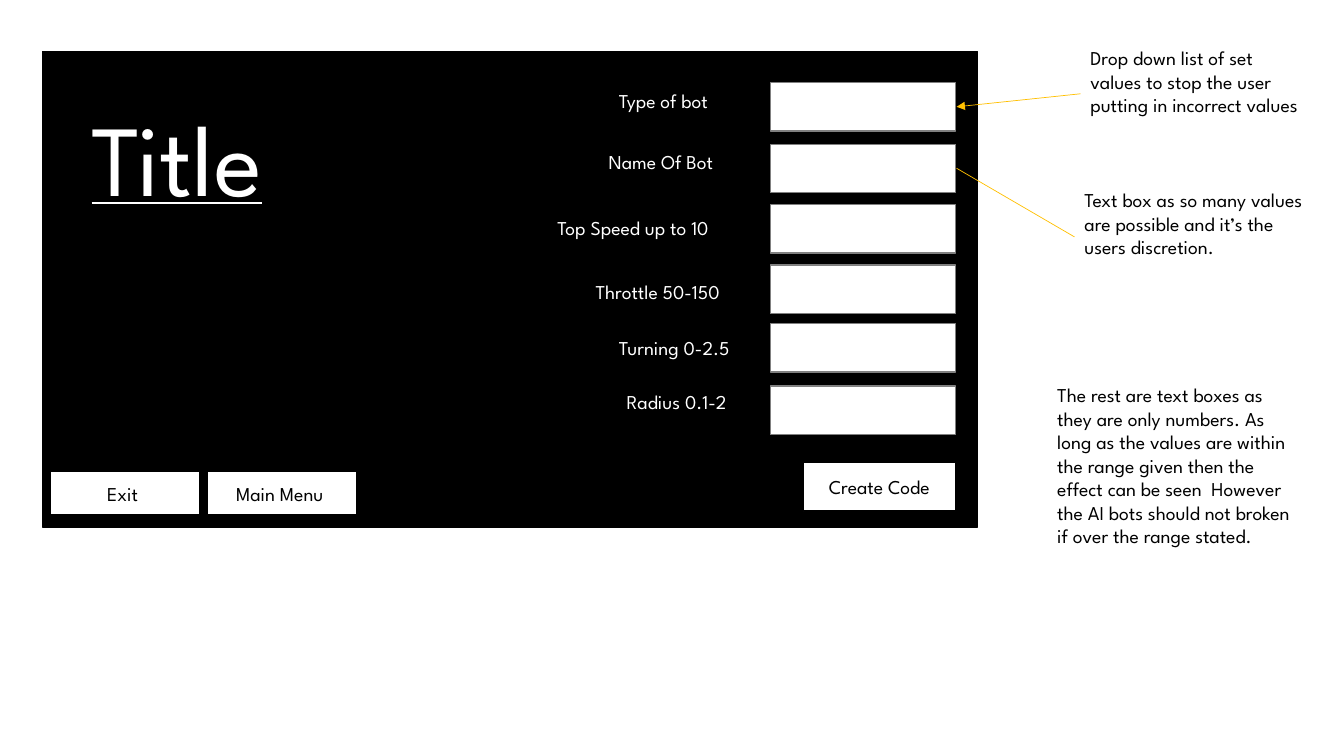
from dataclasses import dataclass

from lxml.etree import SubElement
from pptx import Presentation
from pptx.dml.color import RGBColor
from pptx.enum.shapes import MSO_CONNECTOR, MSO_SHAPE
from pptx.enum.text import MSO_ANCHOR, MSO_AUTO_SIZE, PP_ALIGN
from pptx.oxml.ns import qn
from pptx.util import Pt


@dataclass(frozen=True)
class Theme:
    font: str = "League Spartan"
    body_size: int = 14
    title_size: int = 72
    black: RGBColor = RGBColor(0, 0, 0)
    white: RGBColor = RGBColor(255, 255, 255)
    grey: RGBColor = RGBColor(128, 128, 128)
    amber: RGBColor = RGBColor(255, 192, 0)


class SlideBuilder:
    """Draws elements on one slide; all lengths are in points."""

    def __init__(self, slide, theme):
        self.slide = slide
        self.theme = theme

    def fill_text(self, shape, text, color, size):
        paragraph = shape.text_frame.paragraphs[0]
        paragraph.text = text
        paragraph.font.name = self.theme.font
        paragraph.font.size = Pt(size)
        paragraph.font.color.rgb = color
        return paragraph

    def box(self, left, top, width, height, fill, outline):
        shape = self.slide.shapes.add_shape(
            MSO_SHAPE.RECTANGLE, Pt(left), Pt(top), Pt(width), Pt(height))
        shape.shadow.inherit = False
        shape.fill.solid()
        shape.fill.fore_color.rgb = fill
        shape.line.color.rgb = outline
        shape.line.width = Pt(1)
        return shape

    def button(self, left, top, width, height, text):
        shape = self.box(left, top, width, height, self.theme.white, self.theme.black)
        shape.text_frame.vertical_anchor = MSO_ANCHOR.MIDDLE
        paragraph = self.fill_text(shape, text, self.theme.black, self.theme.body_size)
        paragraph.alignment = PP_ALIGN.CENTER

    def text(self, left, top, width, height, text, color, size=None):
        shape = self.slide.shapes.add_textbox(Pt(left), Pt(top), Pt(width), Pt(height))
        shape.text_frame.word_wrap = True
        shape.text_frame.auto_size = MSO_AUTO_SIZE.SHAPE_TO_FIT_TEXT
        return self.fill_text(shape, text, color, size or self.theme.body_size)

    def pointer(self, start, end, arrow=False):
        connector = self.slide.shapes.add_connector(
            MSO_CONNECTOR.STRAIGHT, *(Pt(value) for value in (*start, *end)))
        connector.line.color.rgb = self.theme.amber
        connector.line.width = Pt(0.5)
        properties = connector.element.spPr
        if arrow:
            SubElement(properties.find(qn("a:ln")), qn("a:tailEnd"), type="triangle")
        SubElement(properties, qn("a:effectLst"))


# Label, its left, top and width, then the top of its input field
FIELDS = [
    ("Type of bot", 434.9, 59.8, 111.6, 59),
    ("Name Of Bot", 427.7, 103.7, 123.1, 103),
    ("Top Speed up to 10", 391, 150.5, 159.8, 146.2),
    ("Throttle 50-150", 418.3, 196.6, 141.1, 189.4),
    ("Turning 0-2.5", 434.9, 236.2, 115.9, 231.1),
    ("Radius 0.1-2", 440.6, 275, 105.8, 275.8),
]
FIELD_LEFT, FIELD_WIDTH, FIELD_HEIGHT = 550.2, 132.5, 34.6

NOTES = [
    (771.8, 29.5, 169.9, 74.9,
     "Drop down list of set values to stop the user putting in incorrect values"),
    (767.5, 131, 171.4, 74.9,
     "Text box as so many values are possible and it’s the users discretion."),
    (748.1, 270, 182.2, 159.8,
     "The rest are text boxes as they are only numbers. As long as the values are "
     "within the range given then the effect can be seen  However the AI bots "
     "should not broken if over the range stated."),
]

BUTTONS = [
    (36, 337, 106.6, 31, "Exit "),
    (148.3, 337, 106.6, 31, "Main Menu "),
    (573.8, 330.5, 108.7, 34.6, "Create Code"),
]


def main():
    presentation = Presentation()
    presentation.slide_width = Pt(960)
    presentation.slide_height = Pt(540)
    slide = presentation.slides.add_slide(presentation.slide_layouts[6])
    theme = Theme()
    builder = SlideBuilder(slide, theme)

    builder.box(30.2, 36.7, 668.2, 339.8, theme.black, theme.black)
    for label, left, top, width, field_top in FIELDS:
        builder.box(FIELD_LEFT, field_top, FIELD_WIDTH, FIELD_HEIGHT, theme.white, theme.grey)
        builder.text(left, top, width, 24.5, label, theme.white)

    builder.pointer((771.8, 67), (683.3, 76.3), arrow=True)
    builder.pointer((767.5, 169.2), (683.3, 120.2))
    for *frame, note in NOTES:
        builder.text(*frame, note, theme.black)

    for button in BUTTONS:
        builder.button(*button)
    title = builder.text(58.3, 64.8, 154.8, 94.3, "Title", theme.white, theme.title_size)
    title.font.underline = True

    presentation.save("out.pptx")


if __name__ == "__main__":
    main()
